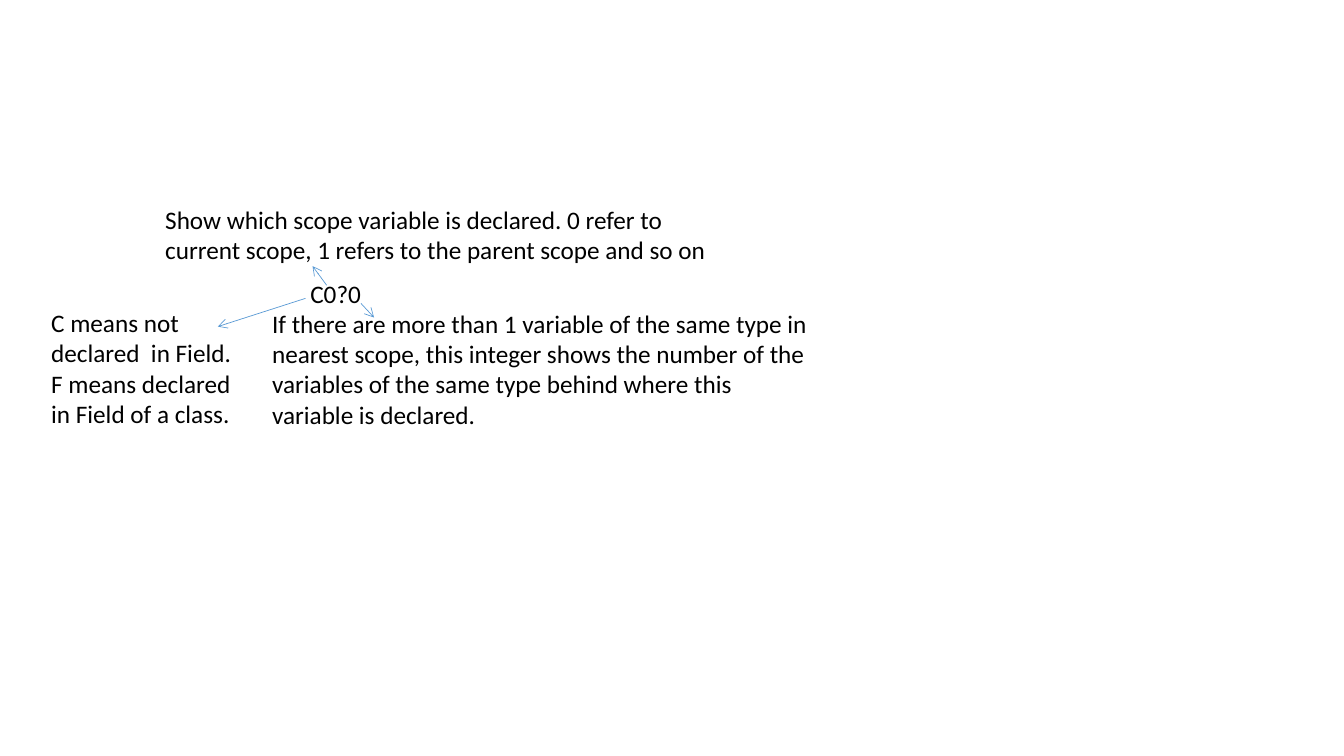
from lxml import etree
from pptx import Presentation
from pptx.dml.color import RGBColor
from pptx.enum.shapes import MSO_CONNECTOR
from pptx.enum.text import MSO_AUTO_SIZE
from pptx.oxml.ns import qn
from pptx.util import Inches, Pt

STRAIGHT = MSO_CONNECTOR.STRAIGHT
FIT_SHAPE = MSO_AUTO_SIZE.SHAPE_TO_FIT_TEXT
FONT = "Calibri"
BLACK = "000000"
BLUE = "5B9BD5"


def color(value):
    """Turn a hex string into a colour."""
    return RGBColor.from_string(value)


def add_text(slide, lines, left, top, width, height, size=18, fill=BLACK, wrap=True):
    """Add a text box with one paragraph per line."""
    box = slide.shapes.add_textbox(
        Inches(left), Inches(top), Inches(width), Inches(height)
    )
    frame = box.text_frame
    frame.word_wrap = wrap
    frame.auto_size = FIT_SHAPE
    for index, line in enumerate(lines):
        para = frame.paragraphs[0] if index == 0 else frame.add_paragraph()
        span = para.add_run()
        span.text = line
        span.font.name = FONT
        span.font.size = Pt(size)
        span.font.color.rgb = color(fill)
    return box


def add_arrow(slide, start, end, stroke=BLUE, weight=0.5):
    """Add a thin straight line with an open arrowhead at its end."""
    arrow = slide.shapes.add_connector(
        STRAIGHT, *(Inches(value) for value in (*start, *end))
    )
    arrow.line.color.rgb = color(stroke)
    arrow.line.width = Pt(weight)
    outline = arrow.line._get_or_add_ln()
    etree.SubElement(outline, qn("a:tailEnd"), type="arrow")
    etree.SubElement(arrow._element.spPr, qn("a:effectLst"))
    return arrow


def main():
    """Build the slide that explains the variable code."""
    deck = Presentation()
    deck.slide_width = Inches(13.33)
    deck.slide_height = Inches(7.5)
    page = deck.slides.add_slide(deck.slide_layouts[6])

    add_text(page, ["C0?0"], 2.98, 2.71, 0.7, 0.4, wrap=False)
    scope_note = (
        "Show which scope variable is declared. 0 refer to current scope, "
        "1 refers to the parent scope and so on"
    )
    add_text(page, [scope_note], 1.54, 1.98, 5.81, 0.7)
    count_note = (
        "If there are more than 1 variable of the same type in nearest scope, "
        "this integer shows the number of the variables of the same type "
        "behind where this variable is declared."
    )
    add_text(page, [count_note], 2.6, 3.01, 5.61, 1.3)
    field_note = [
        "C means not declared  in Field.",
        "F means declared",
        "in Field of a class.",
    ]
    add_text(page, field_note, 0.41, 3, 2.24, 1.3)

    for start, end in (
        ((3.24, 2.83), (3.1, 2.64)),
        ((3.58, 3.01), (3.71, 3.15)),
        ((3.03, 2.96), (2.16, 3.24)),
    ):
        add_arrow(page, start, end)

    deck.save("out.pptx")


if __name__ == "__main__":
    main()
